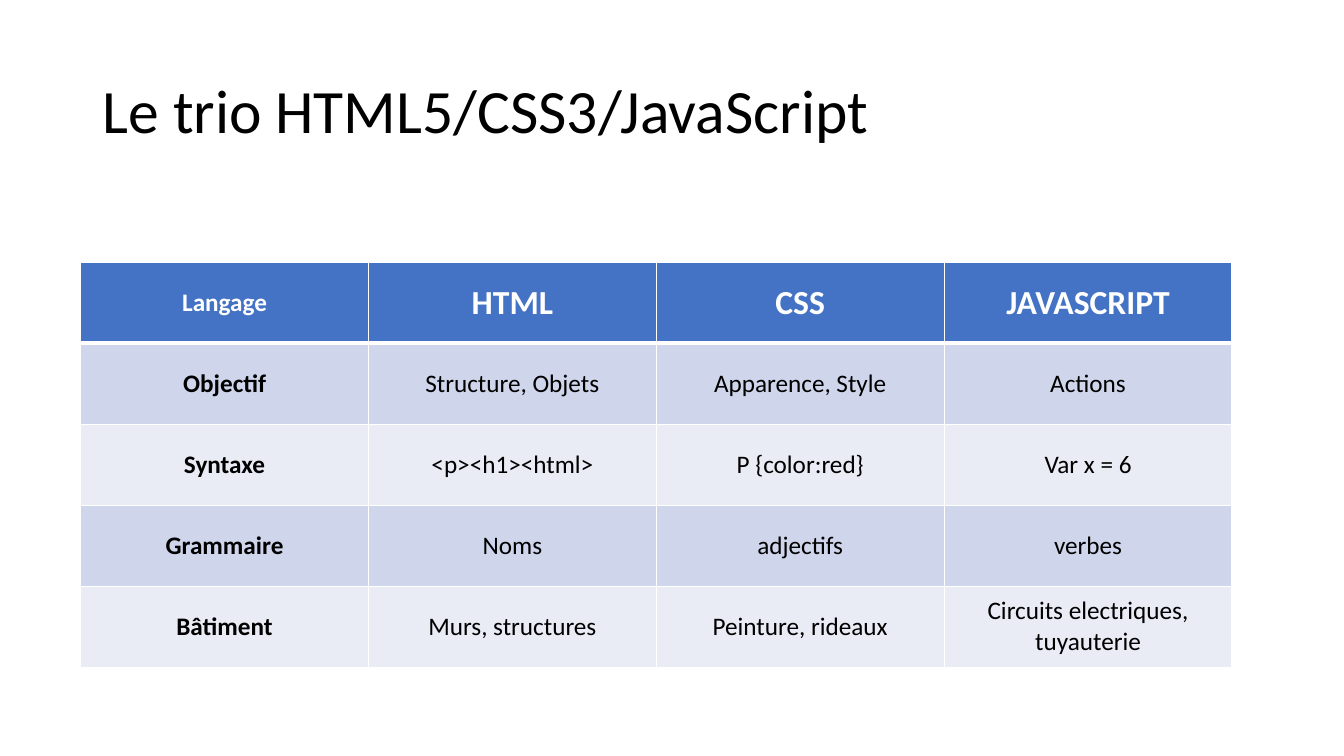
import dataclasses

import lxml.etree
import pptx
import pptx.dml.color
import pptx.enum.text
import pptx.oxml.ns
import pptx.util


@dataclasses.dataclass(frozen=True)
class Theme:
    font: str = "Calibri"
    ink: str = "000000"
    paper: str = "FFFFFF"
    header: str = "4472C4"
    bands: tuple = ("CFD5EA", "E9EBF5")
    title_size: int = 44
    heading_size: int = 24
    body_size: int = 18
    rule: int = 1
    header_rule: int = 3


THEME = Theme()
PAGE_SIZE = (13.33, 7.5)
TITLE_BOX = (0.92, 0.4, 11.5, 1.45)
TABLE_BOX = (0.8, 2.6, 11.42, 4.02)
LANGUAGES = [
    ["Langage", "HTML", "CSS", "JAVASCRIPT"],
    ["Objectif", "Structure, Objets", "Apparence, Style", "Actions"],
    ["Syntaxe", "<p><h1><html>", "P {color:red}", "Var x = 6"],
    ["Grammaire", "Noms", "adjectifs", "verbes"],
    ["Bâtiment", "Murs, structures", "Peinture, rideaux", "Circuits electriques, tuyauterie"],
]


def to_emu(box):
    return [pptx.util.Inches(length) for length in box]


def rgb(value):
    return pptx.dml.color.RGBColor.from_string(value)


def write_text(frame, text, *, size, color=THEME.ink, bold=False, align="LEFT", spacing=1.0):
    frame.word_wrap = True
    para = frame.paragraphs[0]
    para.alignment = getattr(pptx.enum.text.PP_ALIGN, align)
    para.line_spacing = spacing
    span = para.add_run()
    span.text = text
    span.font.name = THEME.font
    span.font.size = pptx.util.Pt(size)
    span.font.bold = bold
    span.font.color.rgb = rgb(color)


def set_borders(cell, **widths):
    """Draw the cell's sides, given in the order L, R, T, B that the format requires."""
    properties = cell._tc.get_or_add_tcPr()
    qn = pptx.oxml.ns.qn
    for side, width in widths.items():
        line = lxml.etree.SubElement(properties, qn(f"a:ln{side}"), w=str(pptx.util.Pt(width)))
        fill = lxml.etree.SubElement(line, qn("a:solidFill"))
        lxml.etree.SubElement(fill, qn("a:srgbClr"), val=THEME.paper)


def add_title(page, box, text):
    frame = page.shapes.add_textbox(*to_emu(box)).text_frame
    frame.vertical_anchor = pptx.enum.text.MSO_ANCHOR.MIDDLE
    write_text(frame, text, size=THEME.title_size, spacing=0.9)


def fill_cell(cell, text, row, column):
    is_header = row == 0
    set_borders(
        cell,
        L=THEME.rule,
        R=THEME.rule,
        T=THEME.header_rule if row == 1 else THEME.rule,
        B=THEME.header_rule if is_header else THEME.rule,
    )
    cell.fill.solid()
    cell.fill.fore_color.rgb = rgb(THEME.header if is_header else THEME.bands[(row - 1) % 2])
    cell.vertical_anchor = pptx.enum.text.MSO_ANCHOR.MIDDLE
    write_text(
        cell.text_frame,
        text,
        size=THEME.heading_size if is_header and column > 0 else THEME.body_size,
        color=THEME.paper if is_header else THEME.ink,
        bold=is_header or column == 0,
        align="CENTER",
    )


def add_comparison_table(page, box, rows):
    left, top, width, height = to_emu(box)
    table = page.shapes.add_table(len(rows), len(rows[0]), left, top, width, height).table
    for column in table.columns:
        column.width = width // len(rows[0])
    for row in table.rows:
        row.height = height // len(rows)
    for row_index, texts in enumerate(rows):
        for column_index, text in enumerate(texts):
            fill_cell(table.cell(row_index, column_index), text, row_index, column_index)


def main():
    deck = pptx.Presentation()
    deck.slide_width, deck.slide_height = to_emu(PAGE_SIZE)
    page = deck.slides.add_slide(deck.slide_layouts[6])
    add_title(page, TITLE_BOX, "Le trio HTML5/CSS3/JavaScript")
    add_comparison_table(page, TABLE_BOX, LANGUAGES)
    deck.save("out.pptx")


if __name__ == "__main__":
    main()
